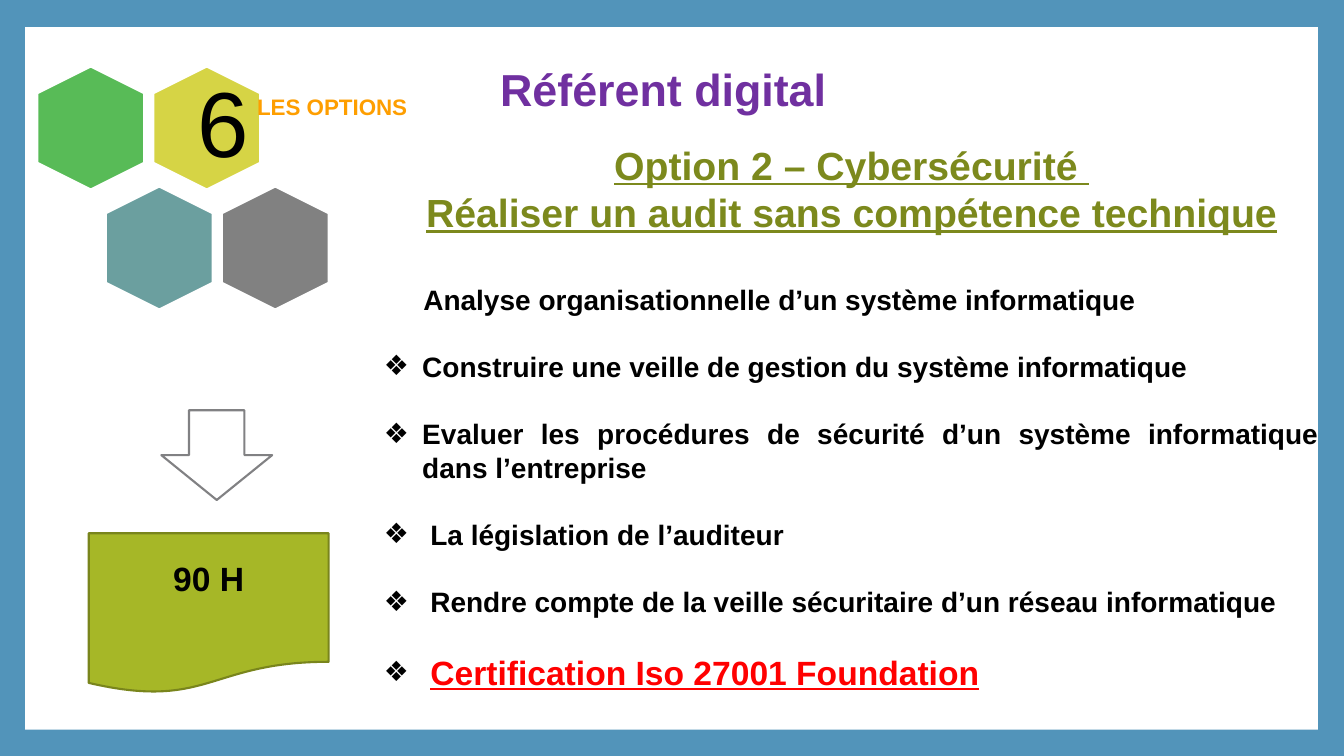
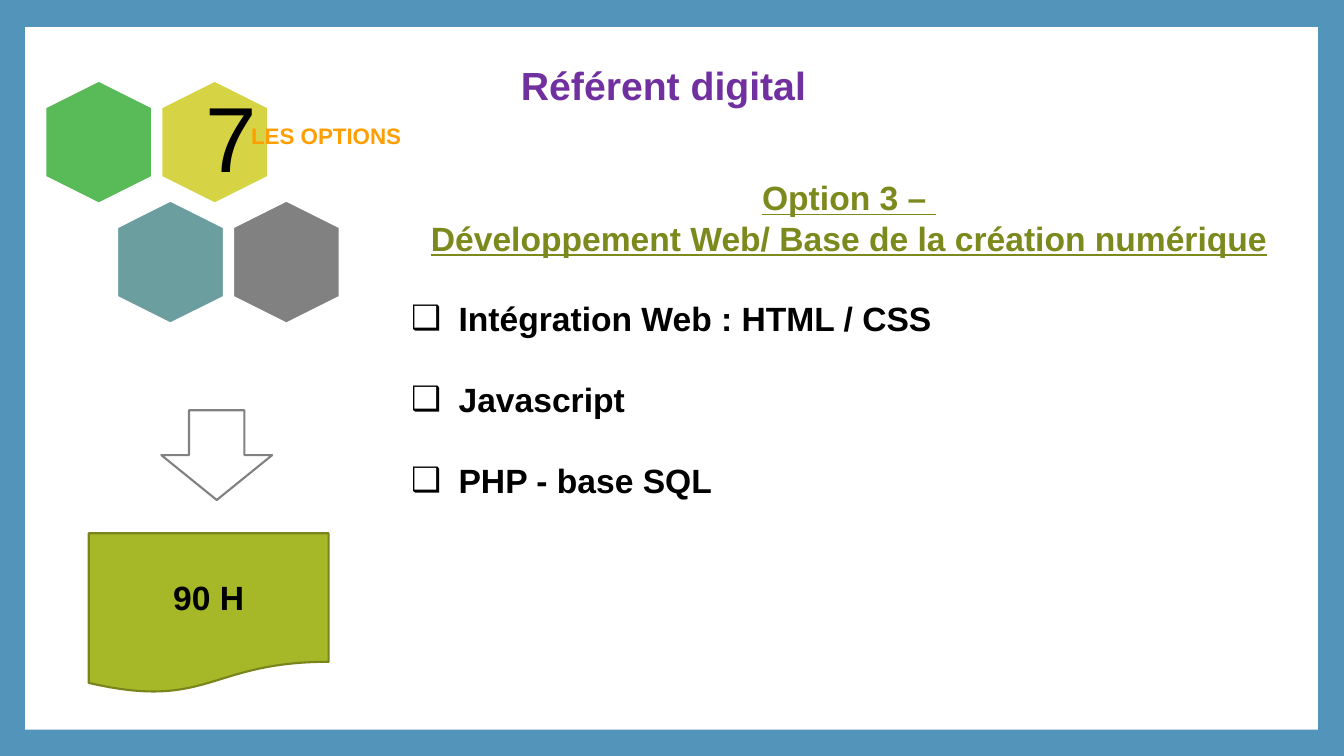
from lxml import etree
from pptx import Presentation
from pptx.dml.color import RGBColor
from pptx.enum import shapes, text
from pptx.oxml import ns
from pptx.util import Inches, Pt

TITLE_ONLY = 5
FONT = "Arial"
BLACK, WHITE, BLUE = "000000", "FFFFFF", "5294BA"
PURPLE, ORANGE, RED = "7030A0", "FE9E00", "FF0000"
OLIVE, OLIVE_EDGE, OLIVE_TEXT = "A6B727", "79851C", "7C891D"
GREEN, YELLOW, TEAL, GREY, ARROW_EDGE = "58BB57", "D6D445", "6B9F9F", "818181", "818183"
HEX_LENGTH, HEX_WIDTH = 1.22, 1.06
HEX_STEP, HEX_ROW = 1.15, 1.19
LINE_GAP = 1.2


def rgb(value):
    return RGBColor.from_string(value)


def write(frame, words, size=20, color=BLACK, bold=True, underline=False,
          align=text.PP_ALIGN.CENTER, before=0, spacing=None):
    """Fill the frame's first paragraph, or add one if it is taken."""
    paragraph = frame.paragraphs[0]
    if paragraph.runs:
        paragraph = frame.add_paragraph()
    paragraph.alignment = align
    paragraph.space_before = Pt(before)
    if spacing:
        paragraph.line_spacing = spacing
    run = paragraph.add_run()
    run.text = words
    font = run.font
    font.name, font.size, font.bold, font.underline = FONT, Pt(size), bold, underline
    font.color.rgb = rgb(color)
    return paragraph


def indent(paragraph, margin, bullet=None, bullet_percent=100):
    """Set the left margin; a bullet hangs at the frame's edge."""
    props = paragraph._p.get_or_add_pPr()
    props.set("marL", str(Inches(margin)))
    if not bullet:
        return
    props.set("indent", str(-Inches(margin)))
    bullet_color = etree.SubElement(props, ns.qn("a:buClr"))
    etree.SubElement(bullet_color, ns.qn("a:srgbClr"), val=BLACK)
    etree.SubElement(props, ns.qn("a:buSzPct"), val=str(bullet_percent * 1000))
    etree.SubElement(props, ns.qn("a:buFont"), typeface=FONT)
    etree.SubElement(props, ns.qn("a:buChar"), char=bullet)


class Deck:
    """Holds the shared look and the slide being built."""

    def __init__(self):
        self.prs = Presentation()
        self.prs.slide_width, self.prs.slide_height = Inches(13.33), Inches(7.5)
        backdrop = self.prs.slide_master.background.fill
        backdrop.solid()
        backdrop.fore_color.rgb = rgb(BLUE)
        self.slide = None

    def start(self, title, size, height):
        self.slide = self.prs.slides.add_slide(self.prs.slide_layouts[TITLE_ONLY])
        panel = self.shape(shapes.MSO_SHAPE.RECTANGLE, 0.25, 0.27, 12.82, 6.97, WHITE)
        self.slide.shapes.element.insert(2, panel.element)  # behind the title
        heading = self.slide.shapes.title
        heading.left, heading.top = Inches(2.26), Inches(0.56)
        heading.width, heading.height = Inches(8.64), Inches(height)
        frame = heading.text_frame
        frame.auto_size = text.MSO_AUTO_SIZE.NONE
        frame.vertical_anchor = text.MSO_ANCHOR.TOP
        write(frame, title, size=size, color=PURPLE)

    def shape(self, preset, left, top, width, height, fill, line=None):
        shape = self.slide.shapes.add_shape(
            preset, Inches(left), Inches(top), Inches(width), Inches(height))
        shape.shadow.inherit = False
        shape.fill.solid()
        shape.fill.fore_color.rgb = rgb(fill)
        if line:
            shape.line.color.rgb = rgb(line)
            shape.line.width = Pt(1.5)
        else:
            shape.line.fill.background()
        return shape

    def frame(self, left, top, width, height, inset=None, anchor=text.MSO_ANCHOR.TOP):
        frame = self.slide.shapes.add_textbox(
            Inches(left), Inches(top), Inches(width), Inches(height)).text_frame
        frame.word_wrap = True
        frame.vertical_anchor = anchor
        if inset is not None:
            frame.margin_left = frame.margin_right = Inches(inset)
            frame.margin_top = frame.margin_bottom = Inches(inset)
        return frame

    def honeycomb(self, left, top, row_shift, number):
        cells = [(GREEN, 0, 0), (YELLOW, HEX_STEP, 0),
                 (TEAL, row_shift, HEX_ROW), (GREY, row_shift + HEX_STEP, HEX_ROW)]
        for color, dx, dy in cells:
            cell = self.shape(shapes.MSO_SHAPE.HEXAGON, left + dx, top + dy,
                              HEX_LENGTH, HEX_WIDTH, color, WHITE)
            cell.rotation = 90
        digit = self.frame(left + 1.4, top + 0.11, 0.73, 0.84, 0.27, text.MSO_ANCHOR.MIDDLE)
        write(digit, number, size=66, bold=False, spacing=0.9)

    def section(self, left, top):
        label = self.frame(left, top, 1.9, 1.54, 0.07, text.MSO_ANCHOR.MIDDLE)
        write(label, "LES OPTIONS", size=16, color=ORANGE,
              align=text.PP_ALIGN.LEFT, spacing=0.9)

    def duration(self, hours, bottom_inset=0.05):
        self.shape(shapes.MSO_SHAPE.DOWN_ARROW, 1.6, 4.07, 1.1, 0.89, WHITE, ARROW_EDGE)
        card = self.shape(shapes.MSO_SHAPE.FLOWCHART_DOCUMENT,
                          0.88, 5.29, 2.38, 1.59, OLIVE, OLIVE_EDGE)
        card.text_frame.margin_bottom = Inches(bottom_inset)
        card.text_frame.vertical_anchor = text.MSO_ANCHOR.MIDDLE
        write(card.text_frame, hours, size=24)

    def programme(self, box, heading, heading_size, items, size, bullet):
        """Items are (words, margin, has bullet, format)."""
        frame = self.frame(*box)
        for line in heading:
            write(frame, line, size=heading_size, color=OLIVE_TEXT, underline=True)
        gap = heading_size * LINE_GAP
        for words, margin, has_bullet, style in items:
            style = {"size": size, **style}
            paragraph = write(frame, words, align=text.PP_ALIGN.JUSTIFY, before=gap, **style)
            indent(paragraph, margin, bullet if has_bullet else None,
                   round(100 * size / style["size"]))
            gap = size * LINE_GAP


def main():
    deck = Deck()

    deck.start("Référent digital", size=32, height=0.63)
    deck.honeycomb(0.29, 0.74, row_shift=0.68, number="6")
    deck.section(2.48, 0.3)
    deck.programme(
        (3.71, 1.35, 9.47, 5.44),
        ["Option 2 – Cybersécurité ", "Réaliser un audit sans compétence technique"], 28,
        [("Analyse organisationnelle d’un système informatique", 0.39, False, {}),
         ("Construire une veille de gestion du système informatique", 0.38, True, {}),
         ("Evaluer les procédures de sécurité d’un système informatique dans l’entreprise",
          0.38, True, {}),
         ("La législation de l’auditeur", 0.46, True, {}),
         ("Rendre compte de la veille sécuritaire d’un réseau informatique", 0.46, True, {}),
         ("Certification Iso 27001 Foundation", 0.46, True,
          {"size": 24, "color": RED, "underline": True})],
        size=20, bullet="❖")
    deck.duration("90 H", bottom_inset=0.43)

    deck.start("Référent digital", size=28, height=0.57)
    deck.honeycomb(0.37, 0.88, row_shift=0.71, number="7")
    deck.section(2.42, 0.59)
    skills = ["Intégration Web : HTML / CSS", "Javascript", "PHP - base SQL"]
    deck.programme(
        (3.98, 1.71, 8.88, 3.3),
        ["Option 3 – ", "Développement Web/ Base de la création numérique"], 24,
        [(skill, 0.47, True, {}) for skill in skills],
        size=24, bullet="❑")
    deck.duration("90 H")

    deck.prs.save("out.pptx")


if __name__ == "__main__":
    main()
